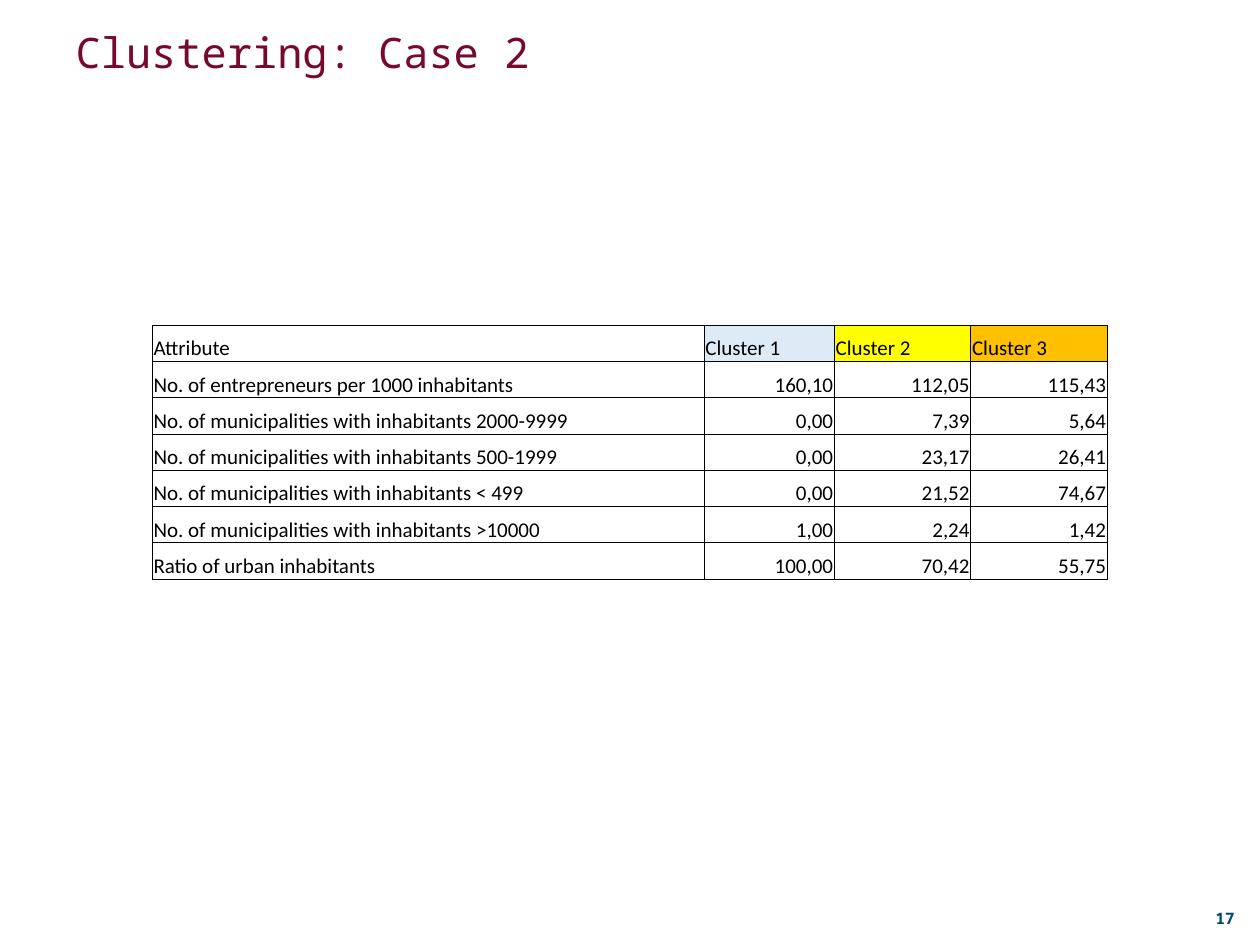
"""Build the slide that compares three municipality clusters in a table."""
from dataclasses import dataclass
from typing import Any, Optional

from lxml.etree import SubElement
from pptx import Presentation
from pptx.dml.color import RGBColor
from pptx.enum.text import MSO_ANCHOR, MSO_AUTO_SIZE, PP_ALIGN
from pptx.oxml.ns import qn
from pptx.util import Pt


@dataclass(frozen=True)
class TextStyle:
    font: str
    size: float
    color: str
    bold: bool = False


@dataclass(frozen=True)
class Theme:
    title: TextStyle = TextStyle("Noto Sans Mono", 24, "78082D")
    page: TextStyle = TextStyle("Noto Sans Mono", 9, "00496B", True)
    table: TextStyle = TextStyle("Calibri", 12, "000000")
    border: str = "000000"
    border_width: float = 0.5


@dataclass(frozen=True)
class Box:
    left: float
    top: float
    width: float
    height: float


@dataclass(frozen=True)
class Column:
    heading: str
    width: float
    fill: Optional[str] = None
    align: PP_ALIGN = PP_ALIGN.RIGHT


THEME = Theme()
TITLE_BOX = Box(36, 0, 648, 59)
PAGE_BOX = Box(687.6, 515.5, 26.6, 18)
TABLE_BOX = Box(87, 185.8, 545.8, 145.2)
COLUMNS = (
    Column("Attribute", 315.4, align=PP_ALIGN.LEFT),
    Column("Cluster 1", 74.4, "DDEBF7"),
    Column("Cluster 2", 78, "FFFF00"),
    Column("Cluster 3", 78, "FFC000"),
)
ATTRIBUTES = (
    ("No. of entrepreneurs per 1000 inhabitants", "160,10", "112,05", "115,43"),
    ("No. of municipalities with inhabitants 2000-9999", "0,00", "7,39", "5,64"),
    ("No. of municipalities with inhabitants 500-1999", "0,00", "23,17", "26,41"),
    ("No. of municipalities with inhabitants < 499", "0,00", "21,52", "74,67"),
    ("No. of municipalities with inhabitants >10000", "1,00", "2,24", "1,42"),
    ("Ratio of urban inhabitants", "100,00", "70,42", "55,75"),
)


def apply_format(target: Any, values: dict[str, Any]) -> None:
    """Set every named attribute on the target."""
    for name, value in values.items():
        setattr(target, name, value)


def placement(box: Box) -> dict[str, Any]:
    """Return the position and size of a box as lengths."""
    return {
        "left": Pt(box.left),
        "top": Pt(box.top),
        "width": Pt(box.width),
        "height": Pt(box.height),
    }


def write_text(frame: Any, text: str, style: TextStyle, align: PP_ALIGN) -> None:
    """Write one styled paragraph into a text frame."""
    paragraph = frame.paragraphs[0]
    paragraph.alignment = align
    run = paragraph.add_run()
    run.text = text
    apply_format(
        run.font, {"name": style.font, "size": Pt(style.size), "bold": style.bold}
    )
    run.font.color.rgb = RGBColor.from_string(style.color)


def draw_borders(cell: Any) -> None:
    """Draw a thin line on all four sides of a cell."""
    properties = cell._tc.get_or_add_tcPr()
    for side in ("lnL", "lnR", "lnT", "lnB"):
        line = SubElement(
            properties, qn(f"a:{side}"), w=str(Pt(THEME.border_width))
        )
        solid = SubElement(line, qn("a:solidFill"))
        SubElement(solid, qn("a:srgbClr"), val=THEME.border)


def draw_cell(cell: Any, text: str, align: PP_ALIGN, fill: Optional[str]) -> None:
    """Format and fill one table cell."""
    apply_format(
        cell,
        {
            "margin_left": Pt(0.75),
            "margin_right": Pt(0.75),
            "margin_top": Pt(0.75),
            "margin_bottom": Pt(0),
            "vertical_anchor": MSO_ANCHOR.BOTTOM,
        },
    )
    draw_borders(cell)
    if fill:
        cell.fill.solid()
        cell.fill.fore_color.rgb = RGBColor.from_string(fill)
    else:
        cell.fill.background()
    write_text(cell.text_frame, text, THEME.table, align)


def draw_title(slide: Any, text: str) -> None:
    """Place the slide title in its placeholder."""
    title = slide.shapes.title
    apply_format(title, placement(TITLE_BOX))
    apply_format(
        title.text_frame,
        {"vertical_anchor": MSO_ANCHOR.MIDDLE, "auto_size": MSO_AUTO_SIZE.NONE},
    )
    write_text(title.text_frame, text, THEME.title, PP_ALIGN.LEFT)


def draw_page_number(slide: Any, number: str) -> None:
    """Place the page number in the lower right corner."""
    page = slide.shapes.add_textbox(**placement(PAGE_BOX))
    apply_format(
        page.text_frame,
        {"word_wrap": False, "auto_size": MSO_AUTO_SIZE.SHAPE_TO_FIT_TEXT},
    )
    write_text(page.text_frame, number, THEME.page, PP_ALIGN.LEFT)


def draw_cluster_table(slide: Any) -> None:
    """Draw the heading row and one row for each attribute."""
    row_count = len(ATTRIBUTES) + 1
    table = slide.shapes.add_table(
        row_count, len(COLUMNS), **placement(TABLE_BOX)
    ).table
    apply_format(table, {"first_row": False, "horz_banding": False})
    for row in table.rows:
        row.height = Pt(TABLE_BOX.height / row_count)
    for index, column in enumerate(COLUMNS):
        table.columns[index].width = Pt(column.width)
        draw_cell(table.cell(0, index), column.heading, PP_ALIGN.LEFT, column.fill)
        for row_index, attribute in enumerate(ATTRIBUTES, start=1):
            draw_cell(
                table.cell(row_index, index), attribute[index], column.align, None
            )


def main() -> None:
    """Build and save the presentation."""
    presentation = Presentation()
    apply_format(presentation, {"slide_width": Pt(720), "slide_height": Pt(540)})
    slide = presentation.slides.add_slide(presentation.slide_layouts[5])
    draw_page_number(slide, "17")
    draw_title(slide, "Clustering: Case 2")
    draw_cluster_table(slide)
    presentation.save("out.pptx")


if __name__ == "__main__":
    main()
